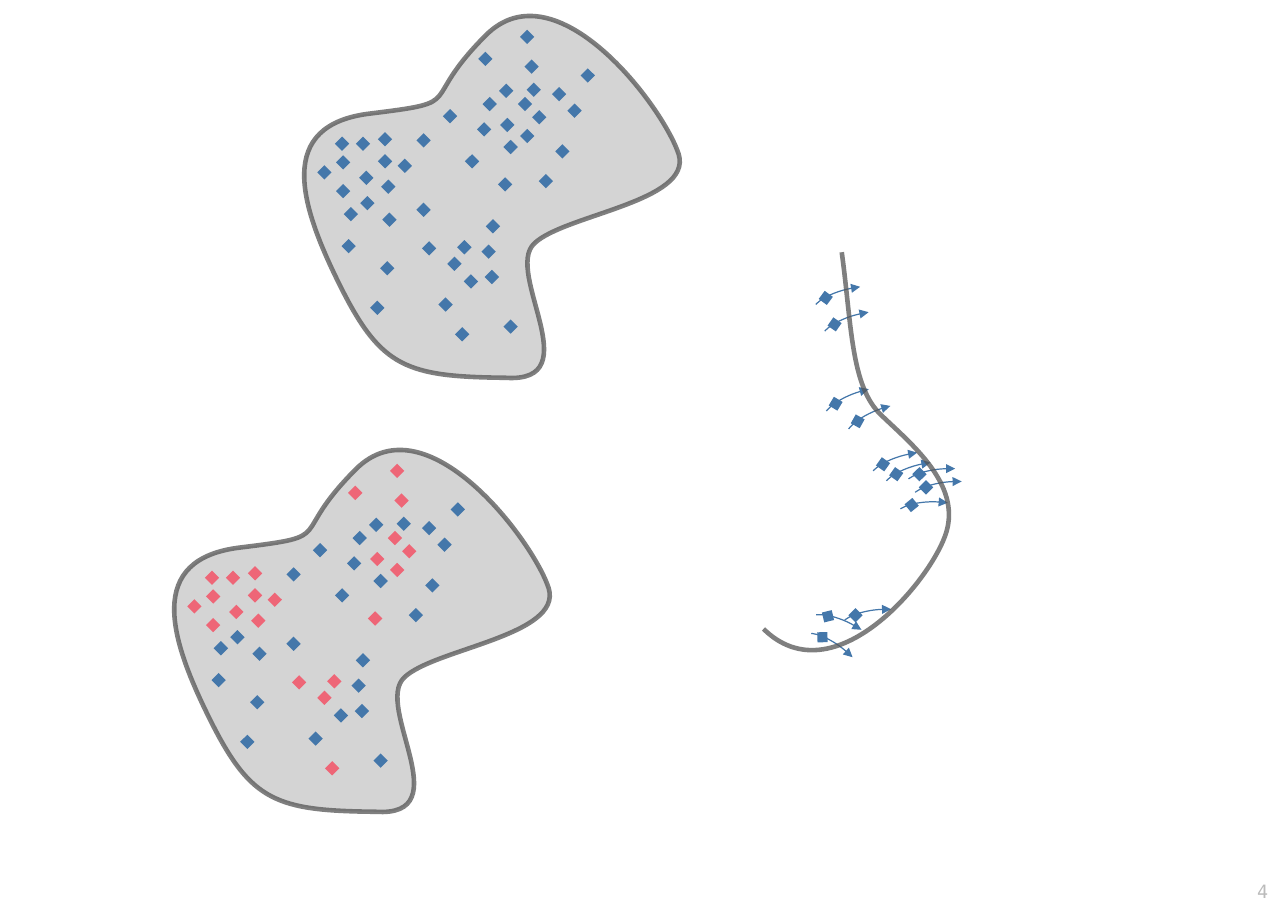
"""Draw two point clouds in closed regions and a boundary crossed by arrows."""
import math
from dataclasses import dataclass

from lxml import etree
from pptx import Presentation
from pptx import util as u
from pptx.dml import color, fill as fills
from pptx.enum import shapes, text
from pptx.oxml import ns
from pptx.shapes import autoshape as auto, shapetree as tree

Point = tuple[float, float]
BLUE, RED, GREY, PALE = "4477AA", "EE6677", "555555", "BBBBBB"
SIDE = 0.13


@dataclass
class Cloud:
    shift: Point
    tint: str


@dataclass
class Move:
    left: float
    top: float
    turn: float = 0


REGION = [
    (4.85, 2.21), (5.12, 1.95), (6.29, 1.83), (6.16, 1.4),
    (6.02, 0.97), (5.05, -0.32), (4.41, 0.32),
    (3.78, 0.95), (4.26, 0.92), (3.37, 1.03),
    (2.49, 1.13), (2.72, 1.86), (3.09, 2.6),
    (3.46, 3.34), (3.69, 3.42), (4.59, 3.43),
    (5.36, 3.48), (4.57, 2.47), (4.85, 2.21),
]
BORDER = [
    (7.64, 2.29), (7.73, 2.94), (7.72, 3.51), (8, 3.77),
    (8.27, 4.03), (8.72, 4.39), (8.59, 4.83),
    (8.46, 5.26), (7.57, 6.34), (6.93, 5.71),
]
PLAIN = [
    (4.22, 1.4), (5.04, 1.31), (5.15, 0.94), (4.89, 1.58), (4.41, 1.99),
    (4.4, 2.45), (3.98, 2.7), (3.36, 2.73), (3.1, 2.17), (3.45, 2.37),
    (3.78, 1.84), (3.78, 1.21), (4.38, 0.88), (4.57, 2.9), (3.27, 1.78),
    (3.47, 1.93), (3.12, 1.88), (4.57, 1.27), (4.33, 1.11), (4.53, 0.76),
    (4.78, 0.75), (5.01, 0.79), (4.02, 0.99), (5.27, 0.62), (4.37, 2.22),
    (4.21, 2.49),
]
MARKED = [
    (3.43, 1.4), (3.83, 2.19), (4.72, 1.17), (4.76, 0.54), (4.7, 0.88),
    (4.52, 1.61), (4.13, 2.97), (4.06, 2.33), (3.05, 1.67), (3.05, 1.41),
    (3.23, 1.24), (3.26, 1.55), (3.46, 1.63), (2.88, 1.5), (3.04, 1.24),
    (3.43, 1.2), (3.61, 1.44), (4.54, 1.07), (4.83, 1), (4.72, 0.27),
    (4.34, 0.47), (4.15, 2.18),
]
UPPER = Cloud((0, 0), BLUE)
LOWER = Cloud((-1.18, 3.94), RED)
MOVES = [
    Move(7.43, 2.64, -8.4), Move(7.51, 2.88, -10.2), Move(7.52, 3.6, -14.2),
    Move(7.72, 3.76, -15.7), Move(7.95, 4.15, -9.3), Move(8.07, 4.24, -9.4),
    Move(8.28, 4.24, 0.8), Move(8.34, 4.36), Move(8.21, 4.52, 5.9),
    Move(7.7, 5.52), Move(7.4, 5.72, 43.1), Move(7.45, 5.53, 31.5),
]


def size(inch: float) -> u.Length:
    return u.Cm(inch * 2.54)


def paint(fill: fills.FillFormat, tint: str, alpha: int = 100) -> None:
    fill.solid()
    fill.fore_color.rgb = color.RGBColor.from_string(tint)
    if alpha < 100:
        tone = fill._xPr.find(ns.qn("a:solidFill"))[0]
        etree.SubElement(tone, ns.qn("a:alpha"), val=str(alpha * 1000))


def add_preset(host: tree._BaseGroupShapes, kind: shapes.MSO_SHAPE,
               mid: Point, wide: float, high: float, turn: float) -> auto.Shape:
    shape = host.add_shape(kind, size(mid[0] - wide / 2), size(mid[1] - high / 2),
                           size(wide), size(high))
    shape.rotation = turn % 360
    shape.shadow.inherit = False
    return shape


def add_spot(host: tree._BaseGroupShapes, left: float, top: float,
             tint: str, turn: float = 0) -> None:
    mid = (left + SIDE / 2, top + SIDE / 2)
    spot = add_preset(host, shapes.MSO_SHAPE.DIAMOND, mid, SIDE, SIDE, turn)
    paint(spot.fill, tint)
    spot.line.fill.background()


def add_move(host: tree.SlideShapes, move: Move) -> None:
    group = host.add_group_shape().shapes
    add_spot(group, move.left, move.top, BLUE, move.turn)
    rad = math.radians(move.turn)
    far, low = 0.3, 0.13
    mid = (move.left + SIDE / 2 + far * math.cos(rad) - low * math.sin(rad),
           move.top + SIDE / 2 + far * math.sin(rad) + low * math.cos(rad))
    arc = add_preset(group, shapes.MSO_SHAPE.ARC, mid, 0.9, 0.37, move.turn + 180)
    arc.adjustments[0], arc.adjustments[1] = 7.3, 58.25
    arc.fill.background()
    paint(arc.line.fill, BLUE)
    arc.line.width = u.Pt(0.79)
    etree.SubElement(arc.line._get_or_add_ln(), ns.qn("a:tailEnd"), type="triangle")


def get_span(vals: list[int]) -> tuple[int, int]:
    """Return the least and greatest value along a chain of cubic curves."""
    seen = []
    for k in range(0, len(vals) - 1, 3):
        a, b, c, d = vals[k:k + 4]
        for step in range(101):
            t = step / 100
            s = 1 - t
            seen.append(s**3 * a + 3 * s * s * t * b + 3 * s * t * t * c + t**3 * d)
    return round(min(seen)), round(max(seen))


def add_curve(host: tree.SlideShapes, knots: list[Point], shut: bool) -> auto.Shape:
    """Draw a chain of cubic curves in a box that fits it."""
    dots = [(size(x), size(y)) for x, y in knots]
    form = host.build_freeform(*dots[0])
    form.add_line_segments(dots[1:], close=shut)
    shape = form.convert_to_shape()
    track = next(shape._element.iter(ns.qn("a:path")))
    lines = track.findall(ns.qn("a:lnTo"))
    for k in range(0, len(lines), 3):
        bend = etree.Element(ns.qn("a:cubicBezTo"))
        lines[k].addprevious(bend)
        for line in lines[k:k + 3]:
            bend.append(line[0])
            track.remove(line)
    xs, ys = zip(*dots)
    (left, right), (top, base) = get_span(list(xs)), get_span(list(ys))
    for dot, (x, y) in zip(track.iter(ns.qn("a:pt")), dots):
        dot.set("x", str(x - left))
        dot.set("y", str(y - top))
    track.set("w", str(right - left))
    track.set("h", str(base - top))
    shape.left, shape.top = left, top
    shape.width, shape.height = right - left, base - top
    shape.shadow.inherit = False
    if shut:
        paint(shape.fill, GREY, 25)
    else:
        shape.fill.background()
    paint(shape.line.fill, GREY, 75)
    shape.line.width = u.Pt(3)
    return shape


def add_cloud(host: tree.SlideShapes, cloud: Cloud) -> None:
    dx, dy = cloud.shift
    add_curve(host, [(x + dx, y + dy) for x, y in REGION], True)
    for spots, tint in ((PLAIN, BLUE), (MARKED, cloud.tint)):
        for x, y in spots:
            add_spot(host, x + dx, y + dy, tint)


def add_number(host: tree.SlideShapes) -> None:
    frame = host.add_textbox(size(10.61), size(7.94), size(1), size(0.29)).text_frame
    frame.word_wrap = False
    frame.auto_size = text.MSO_AUTO_SIZE.SHAPE_TO_FIT_TEXT
    para = frame.paragraphs[0]
    para.alignment = text.PP_ALIGN.RIGHT
    run = para.add_run()
    run.text = "4"
    run.font.name = "DejaVu Sans Mono"
    run.font.size = u.Pt(12)
    paint(run.font.fill, PALE)


def main() -> None:
    deck = Presentation()
    deck.slide_width, deck.slide_height = size(11.69), size(8.27)
    host = deck.slides.add_slide(deck.slide_layouts[6]).shapes
    add_number(host)
    add_cloud(host, UPPER)
    for move in MOVES:
        add_move(host, move)
    add_curve(host, BORDER, False)
    add_cloud(host, LOWER)
    deck.save("out.pptx")


if __name__ == "__main__":
    main()
